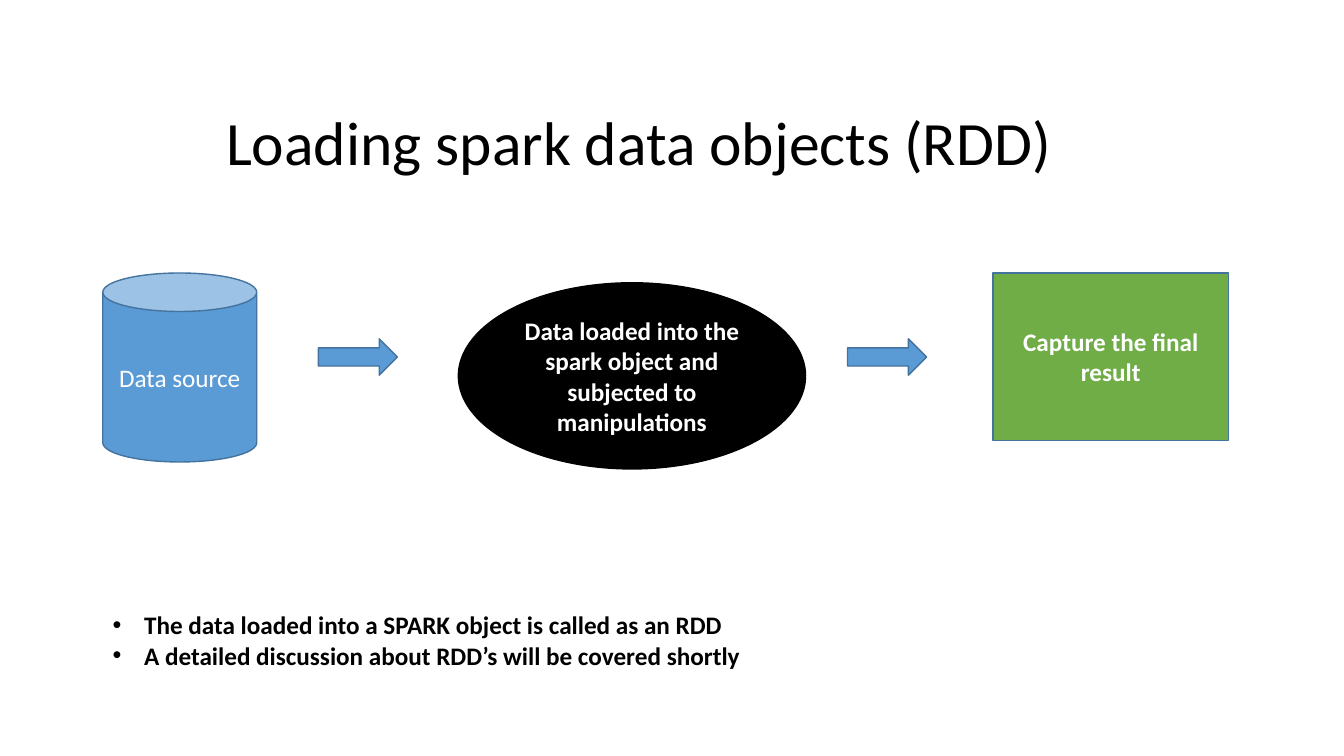
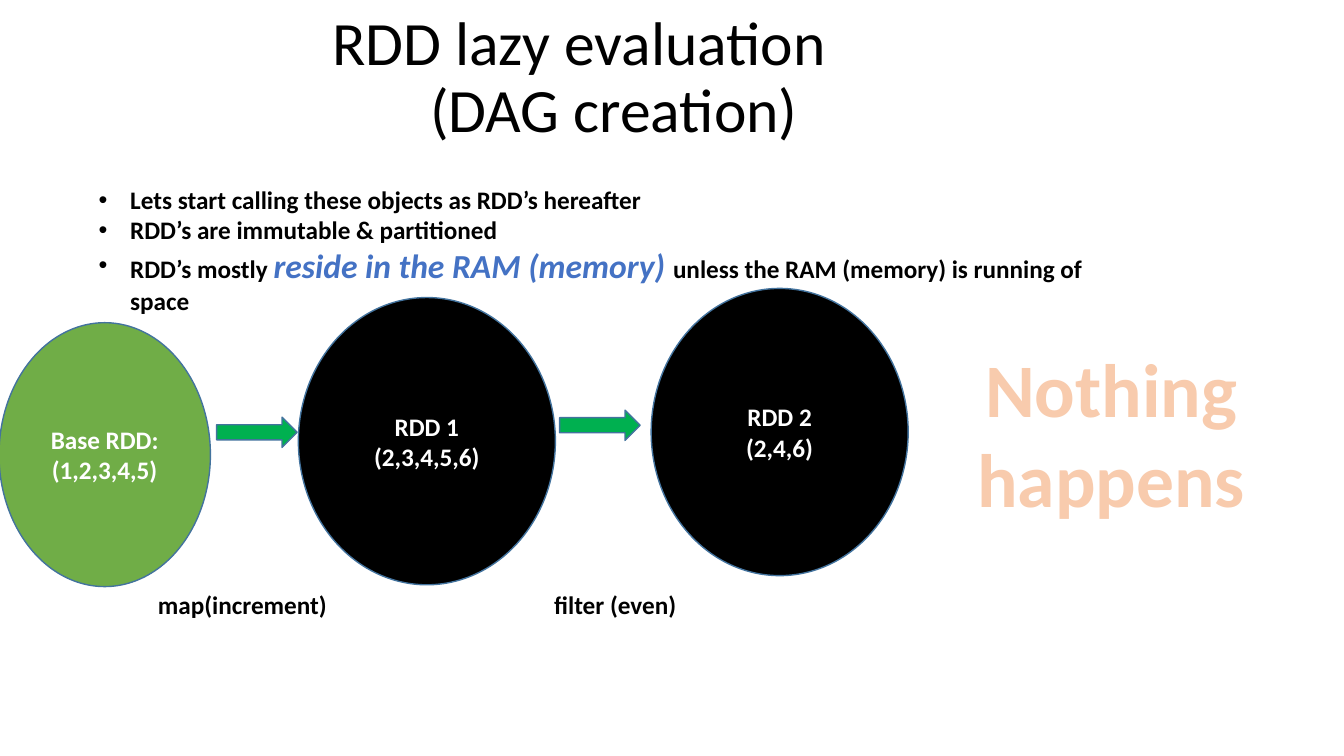
from dataclasses import dataclass

from lxml.etree import SubElement
from pptx import Presentation
from pptx.dml.color import RGBColor
from pptx.enum.shapes import MSO_SHAPE
from pptx.enum.text import MSO_ANCHOR, MSO_AUTO_SIZE, PP_ALIGN
from pptx.oxml import parse_xml
from pptx.oxml.ns import nsdecls, qn
from pptx.util import Pt


@dataclass(frozen=True)
class Theme:
    font: str = "Calibri"
    black: str = "000000"
    white: str = "FFFFFF"
    blue: str = "5B9BD5"
    edge: str = "43739E"
    green: str = "70AD47"
    arrow_green: str = "00B050"
    accent: str = "4472C4"
    peach: str = "F8CBAD"
    orange: str = "ED7D31"
    title_size: int = 44
    body_size: int = 18
    stress_size: int = 24
    shout_size: int = 54
    hang: float = 22.5


THEME = Theme()
BODY = {"size": Pt(THEME.body_size), "bold": True, "color": THEME.black}
LIGHT = BODY | {"color": THEME.white}
PLAIN_LIGHT = LIGHT | {"bold": False}
TITLE = {"size": Pt(THEME.title_size), "bold": False, "color": THEME.black}
STRESS = BODY | {"size": Pt(THEME.stress_size), "italic": True, "color": THEME.accent}
SHOUT = BODY | {"size": Pt(THEME.shout_size), "color": THEME.peach}


def set_all(target, values):
    for key, value in values.items():
        setattr(target, key, value)


def style_font(font, look):
    set_all(font, {"name": THEME.font} | {k: v for k, v in look.items() if k != "color"})
    font.color.rgb = RGBColor.from_string(look["color"])


def write(frame, lines, look, align=PP_ALIGN.LEFT):
    for number, line in enumerate(lines):
        paragraph = frame.add_paragraph() if number else frame.paragraphs[0]
        paragraph.alignment = align
        for words, run_look in [(line, look)] if isinstance(line, str) else line:
            run = paragraph.add_run()
            run.text = words
            style_font(run.font, run_look)


def add_title(slide, box, text, margin, first_line=0):
    title = slide.shapes.title
    set_all(title, dict(zip(("left", "top", "width", "height"), map(Pt, box))))
    frame = title.text_frame
    set_all(frame, {"word_wrap": True, "auto_size": MSO_AUTO_SIZE.NONE,
                    "vertical_anchor": MSO_ANCHOR.MIDDLE, "text": text})
    paragraph = frame.paragraphs[0]
    set_all(paragraph, {"alignment": PP_ALIGN.LEFT, "line_spacing": 0.9})
    for run in paragraph.runs:
        style_font(run.font, TITLE)
    properties = paragraph._p.get_or_add_pPr()
    properties.set("marL", str(Pt(margin)))
    properties.set("indent", str(Pt(first_line)))


def add_text(slide, box, lines, look, align=PP_ALIGN.LEFT):
    frame = slide.shapes.add_textbox(*map(Pt, box)).text_frame
    frame.word_wrap = True
    write(frame, lines, look, align)
    return frame


def add_bullets(slide, box, lines):
    for paragraph in add_text(slide, box, lines, BODY).paragraphs:
        properties = paragraph._p.get_or_add_pPr()
        properties.set("marL", str(Pt(THEME.hang)))
        properties.set("indent", str(-Pt(THEME.hang)))
        SubElement(properties, qn("a:buFont")).set("typeface", "Arial")
        SubElement(properties, qn("a:buChar")).set("char", "•")


def add_node(slide, preset, box, fill, edge=THEME.edge, lines=(), look=LIGHT):
    node = slide.shapes.add_shape(preset, *map(Pt, box))
    node.shadow.inherit = False
    node.fill.solid()
    node.fill.fore_color.rgb = RGBColor.from_string(fill)
    node.line.color.rgb = RGBColor.from_string(edge)
    node.line.width = Pt(1)
    node.text_frame.word_wrap = True
    node.text_frame.vertical_anchor = MSO_ANCHOR.MIDDLE
    write(node.text_frame, lines, look, PP_ALIGN.CENTER)


def add_loading_flow(slide, box):
    left, top, width, height = box
    result_width = 168
    add_node(slide, MSO_SHAPE.OVAL, (left + 254, top + 7, 248, height - 7), THEME.black, THEME.black,
             ["Data loaded into the spark object and subjected to manipulations"])
    add_node(slide, MSO_SHAPE.CAN, (left, top, 110, height - 5), THEME.blue,
             lines=["Data source"], look=PLAIN_LIGHT)
    add_node(slide, MSO_SHAPE.RECTANGLE, (left + width - result_width, top, result_width, 119.5),
             THEME.green, lines=["Capture the final result"])
    for offset in (154, 532):
        add_node(slide, MSO_SHAPE.RIGHT_ARROW, (left + offset, top + 47, 56.5, 26), THEME.blue)


def add_lazy_chain(slide, box):
    left, top, width, height = box
    stages = [
        ((0, 24.5, 151, 188.5), THEME.green, ["Base RDD:", "(1,2,3,4,5)"]),
        ((213.8, 6.5, 183.6, 205.2), THEME.black, ["RDD 1", "(2,3,4,5,6)"]),
        ((465.8, 0, 183.6, 205.2), THEME.black, ["RDD 2", "(2,4,6)"]),
    ]
    for (across, down, wide, high), fill, lines in stages:
        add_node(slide, MSO_SHAPE.OVAL, (left + across, top + down, wide, high), fill, lines=lines)
    steps = [(155.5, 92, 106.5, "map(increment)"), (400.5, 87, 389.5, "filter (even)")]
    for arrow_across, arrow_down, label_across, label in steps:
        add_node(slide, MSO_SHAPE.RIGHT_ARROW,
                 (left + arrow_across, top + arrow_down, 57.5, 21.6), THEME.arrow_green)
        add_text(slide, (left + label_across, top + height - 29, 150, 29), [label], BODY)
    verdict_width = 352
    verdict = add_text(slide, (left + width - verdict_width, top + 34.5, verdict_width, 138),
                       ["Nothing happens"], SHOUT, PP_ALIGN.CENTER)
    outline = parse_xml(
        f'<a:ln {nsdecls("a")} w="{Pt(1.75)}"><a:solidFill>'
        f'<a:srgbClr val="{THEME.orange}"/></a:solidFill></a:ln>')
    verdict.paragraphs[0].runs[0]._r.get_or_add_rPr().insert(0, outline)


def build_loading(slide):
    add_title(slide, (4.3, 52, 828, 104.4), "Loading spark data objects (RDD)", 150)
    add_bullets(slide, (73.4, 432, 828, 51), [
        "The data loaded into a SPARK object is called as an RDD",
        "A detailed discussion about RDD’s will be covered shortly",
    ])
    add_loading_flow(slide, (73.4, 195, 804, 140))


def build_lazy(slide):
    add_title(slide, (41, 4.3, 828, 104.4), "RDD lazy evaluation\v(DAG creation)", 259, -70)
    add_lazy_chain(slide, (-0.7, 206, 970.5, 240.5))
    add_bullets(slide, (63.4, 128.2, 746, 101.5), [
        "Lets start calling these objects as RDD’s hereafter",
        "RDD’s are immutable & partitioned",
        [("RDD’s mostly ", BODY), ("reside in the RAM (memory) ", STRESS),
         ("unless the RAM (memory) is running of space", BODY)],
    ])


deck = Presentation()
set_all(deck, {"slide_width": Pt(960), "slide_height": Pt(540)})
for build in (build_loading, build_lazy):
    build(deck.slides.add_slide(deck.slide_layouts[5]))
deck.save("out.pptx")
